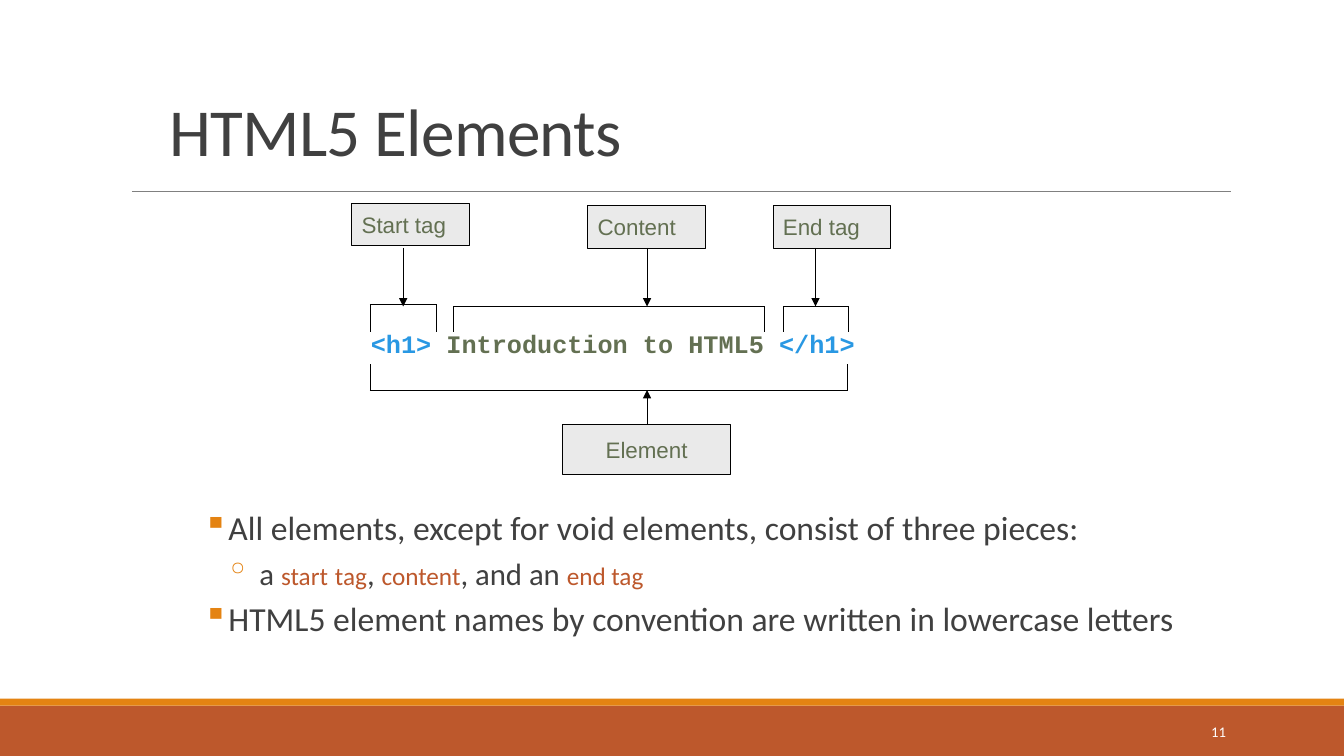
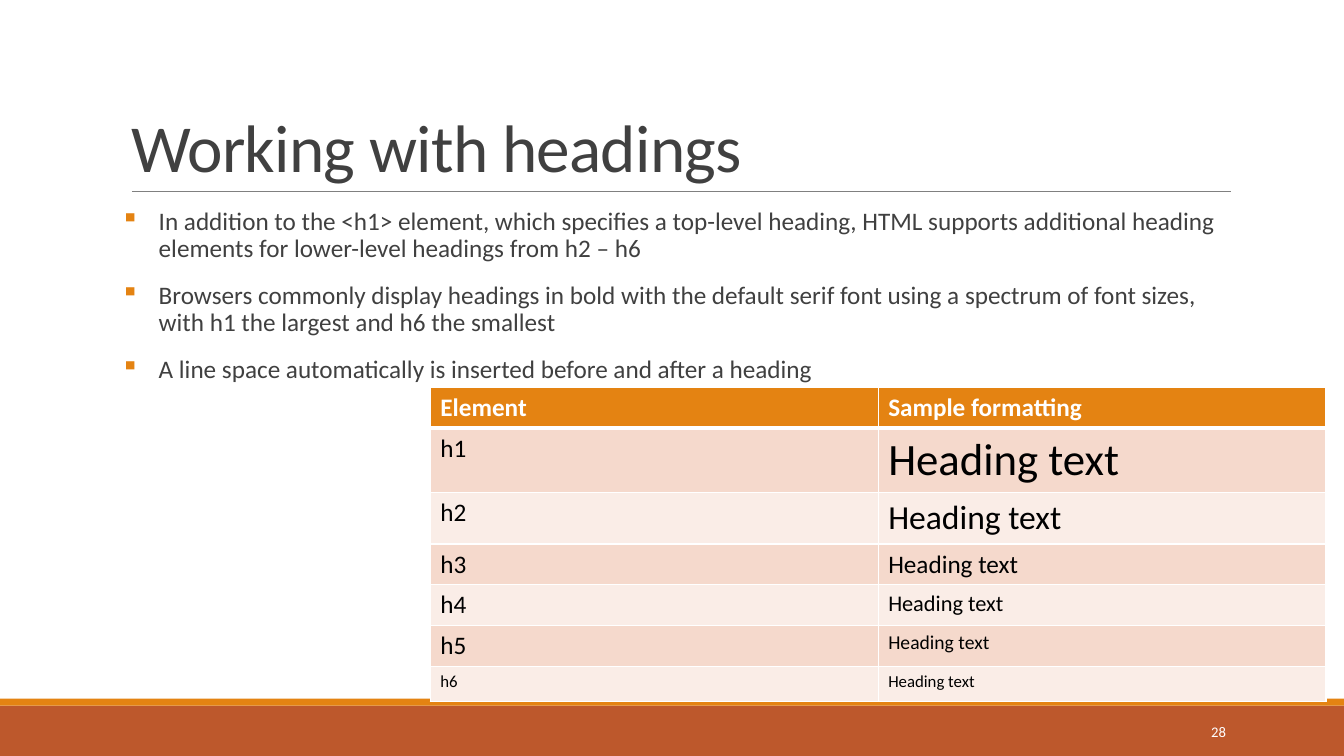
from lxml import etree
from pptx import Presentation
from pptx.dml.color import RGBColor
from pptx.enum.shapes import MSO_CONNECTOR, MSO_SHAPE
from pptx.enum.text import MSO_ANCHOR, MSO_AUTO_SIZE, PP_ALIGN
from pptx.oxml.ns import qn
from pptx.util import Pt

LEFT, RIGHT, CENTER, JUSTIFY = PP_ALIGN.LEFT, PP_ALIGN.RIGHT, PP_ALIGN.CENTER, PP_ALIGN.JUSTIFY
TOP, MIDDLE, BOTTOM = MSO_ANCHOR.TOP, MSO_ANCHOR.MIDDLE, MSO_ANCHOR.BOTTOM
RECTANGLE = MSO_SHAPE.RECTANGLE
STRAIGHT = MSO_CONNECTOR.STRAIGHT
NO_AUTOFIT = MSO_AUTO_SIZE.NONE
TITLE_ONLY = 5

WIDTH, HEIGHT = 960, 540
BODY_FONT, LABEL_FONT, CODE_FONT = "Calibri", "Arial", "Courier New"
RUST, ORANGE, GRAY, INK = "BD582C", "E48312", "808080", "404040"
WHITE, BLACK, OLIVE, BLUE = "FFFFFF", "000000", "637052", "2998E3"
LABEL_FILL = "EAEAEA"
ROW_FILLS = ("F5D9CC", "FAEDE7")


def color(value):
    return RGBColor.from_string(value)


def child(parent, tag, **attributes):
    return etree.SubElement(parent, qn(tag), **attributes)


def paint(shape, fill, outline=None):
    shape.shadow.inherit = False
    shape.fill.solid()
    shape.fill.fore_color.rgb = color(fill)
    if outline:
        shape.line.color.rgb = color(outline)
        shape.line.width = Pt(0.5)
    else:
        shape.line.fill.background()


def add_run(paragraph, text, size, tint, font=BODY_FONT, bold=False):
    run = paragraph.add_run()
    run.text = text
    run.font.name = font
    run.font.size = Pt(size)
    run.font.bold = bold
    run.font.color.rgb = color(tint)
    return run


def set_frame(frame, anchor, side=7.2):
    frame.word_wrap = True
    frame.auto_size = NO_AUTOFIT
    frame.vertical_anchor = anchor
    frame.margin_left = frame.margin_right = Pt(side)
    frame.margin_top = frame.margin_bottom = Pt(3.6)


def add_text_box(slide, left, top, width, height, anchor=TOP, side=7.2):
    box = slide.shapes.add_textbox(Pt(left), Pt(top), Pt(width), Pt(height))
    set_frame(box.text_frame, anchor, side)
    return box.text_frame


def add_band(slide, top, height, fill):
    band = slide.shapes.add_shape(RECTANGLE, 0, Pt(top), Pt(WIDTH), Pt(height))
    paint(band, fill)


def add_line(slide, x1, y1, x2, y2, tint=BLACK, arrow=False):
    line = slide.shapes.add_connector(STRAIGHT, Pt(x1), Pt(y1), Pt(x2), Pt(y2))
    line.line.color.rgb = color(tint)
    line.line.width = Pt(0.5)
    if arrow:
        child(line.line._get_or_add_ln(), "a:tailEnd", type="triangle")
    child(line._element.spPr, "a:effectLst")


def add_bracket(slide, left, right, spine, tip):
    add_line(slide, left, spine, right, spine)
    for x in (left, right):
        add_line(slide, x, spine, x, tip)


def add_label(slide, text, left, top, width, height, align=LEFT):
    label = slide.shapes.add_shape(RECTANGLE, Pt(left), Pt(top), Pt(width), Pt(height))
    paint(label, LABEL_FILL, BLACK)
    set_frame(label.text_frame, MIDDLE)
    paragraph = label.text_frame.paragraphs[0]
    paragraph.alignment = align
    add_run(paragraph, text, 16, OLIVE, LABEL_FONT)


def add_bullets(frame, items, align, line_spacing, before, after):
    for index, (mark, margin, hanging, runs) in enumerate(items):
        paragraph = frame.add_paragraph() if index else frame.paragraphs[0]
        paragraph.alignment = align
        paragraph.line_spacing = line_spacing
        paragraph.space_before = Pt(before)
        paragraph.space_after = Pt(after)
        properties = paragraph._p.get_or_add_pPr()
        properties.set("marL", str(Pt(margin)))
        properties.set("indent", str(-Pt(hanging)))
        child(child(properties, "a:buClr"), "a:srgbClr", val=ORANGE)
        child(properties, "a:buChar", char=mark)
        for run in runs:
            add_run(paragraph, *run)


def add_base_slide(deck, title_text, title_box, title_anchor, line_spacing, number):
    slide = deck.slides.add_slide(deck.slide_layouts[TITLE_ONLY])
    add_band(slide, 504, 36, RUST)
    add_band(slide, 499, 5, ORANGE)
    add_line(slide, 94.3, 136.8, 879.1, 136.8, GRAY)

    title = slide.shapes.title
    title.left, title.top, title.width, title.height = map(Pt, title_box)
    set_frame(title.text_frame, title_anchor)
    heading = title.text_frame.paragraphs[0]
    heading.alignment = LEFT
    heading.line_spacing = line_spacing
    run = add_run(heading, title_text, 48, INK)
    run._r.get_or_add_rPr().set("spc", "-50")

    page = add_text_box(slide, 779.8, 508.3, 103, 28.8, MIDDLE).paragraphs[0]
    page.alignment = RIGHT
    add_run(page, number, 10.5, WHITE)
    return slide


def set_cell_borders(cell, top, bottom):
    properties = cell._tc.get_or_add_tcPr()
    widths = {"a:lnL": 1, "a:lnR": 1, "a:lnT": top, "a:lnB": bottom}
    for position, (tag, width) in enumerate(widths.items()):
        border = child(properties, tag, w=str(Pt(width)))
        child(child(border, "a:solidFill"), "a:srgbClr", val=WHITE)
        properties.insert(position, border)


def add_heading_table(slide, rows):
    column_width = 319.9
    frame = slide.shapes.add_table(
        len(rows), 2, Pt(307.4), Pt(276.5), Pt(2 * column_width), Pt(207.2))
    table = frame.table
    for column in table.columns:
        column.width = Pt(column_width)
    for row_index, (height, *entries) in enumerate(rows):
        header = row_index == 0
        table.rows[row_index].height = Pt(height)
        for column_index, (text, size) in enumerate(entries):
            cell = table.cell(row_index, column_index)
            cell.fill.solid()
            fill = ORANGE if header else ROW_FILLS[(row_index - 1) % 2]
            cell.fill.fore_color.rgb = color(fill)
            set_cell_borders(cell, 3 if row_index == 1 else 1, 3 if header else 1)
            add_run(cell.text_frame.paragraphs[0], text, size,
                    WHITE if header else BLACK, bold=header)


def add_element_diagram(slide):
    snippet = add_text_box(slide, 257.8, 231.1, 408.2, 28.8).paragraphs[0]
    for text, tint in (("<h1>", BLUE), (" Introduction to HTML5 ", OLIVE), ("</h1>", BLUE)):
        add_run(snippet, text, 18, tint, CODE_FONT, True)

    parts = (
        ("Start tag", 251.3, 145.4, 288, 264.2, 311.8, 217.4),
        ("Content", 419.8, 146.9, 462.2, 324, 545.8, 218.9),
        ("End tag", 552.2, 146.9, 582.5, 559.4, 606.2, 218.9),
    )
    for text, left, top, arrow_x, bracket_left, bracket_right, spine in parts:
        add_label(slide, text, left, top, 84.2, 30.2)
        add_line(slide, arrow_x, 177.1, arrow_x, 218.9, arrow=True)
        add_bracket(slide, bracket_left, bracket_right, spine, 236.9)

    add_bracket(slide, 264.2, 605.5, 278.6, 260.3)
    add_label(slide, "Element", 401.8, 303.1, 120.2, 36, CENTER)
    add_line(slide, 462.2, 303.1, 462.2, 278.6, arrow=True)


def build_elements_slide(deck):
    slide = add_base_slide(
        deck, "HTML5 Elements", (113.8, 60.5, 671.8, 65.5), TOP, 1, "11")
    add_element_diagram(slide)
    pieces = [
        ("a ", 22, INK), ("start", 18, RUST), (" ", 22, BLUE), ("tag", 18, RUST),
        (", ", 22, INK), ("content", 18, RUST), (", and an ", 22, INK),
        ("end", 18, RUST), (" ", 17, RUST), ("tag", 18, RUST),
    ]
    items = [
        ("▪", 8, 8, [("All elements, except for void elements, consist of three pieces:", 24, INK)]),
        ("◦", 40, 24, pieces),
        ("▪", 8, 8, [("HTML5 element names by convention are written in lowercase letters", 24, INK)]),
    ]
    body = add_text_box(slide, 138.2, 366.5, 766.1, 113.8)
    add_bullets(body, items, JUSTIFY, 0.7, 6.6, 6.6)


def build_headings_slide(deck):
    slide = add_base_slide(
        deck, "Working with headings", (86.4, 22.3, 792, 114.5), BOTTOM, 0.85, "28")
    sentences = (
        "In addition to the <h1> element, which specifies a top-level heading, HTML supports "
        "additional heading elements for lower-level headings from h2 – h6",
        "Browsers commonly display headings in bold with the default serif font using a "
        "spectrum of font sizes, with h1 the largest and h6 the smallest",
        "A line space automatically is inserted before and after a heading",
    )
    body = add_text_box(slide, 86.4, 145.4, 792, 363.6, side=0)
    items = [("▪", 27, 27, [(sentence, 18, INK)]) for sentence in sentences]
    add_bullets(body, items, LEFT, 0.9, 12, 2)

    samples = (
        (42.5, 18, 32), (33.1, 18, 24), (26.6, 18, 18),
        (26.6, 18, 16), (26.6, 18, 14), (25.2, 12, 12),
    )
    rows = [(26.6, ("Element", 18), ("Sample formatting", 18))]
    for level, (height, name_size, sample_size) in enumerate(samples, 1):
        rows.append((height, (f"h{level}", name_size), ("Heading text", sample_size)))
    add_heading_table(slide, rows)


def main():
    deck = Presentation()
    deck.slide_width, deck.slide_height = Pt(WIDTH), Pt(HEIGHT)
    build_elements_slide(deck)
    build_headings_slide(deck)
    deck.save("out.pptx")


main()
